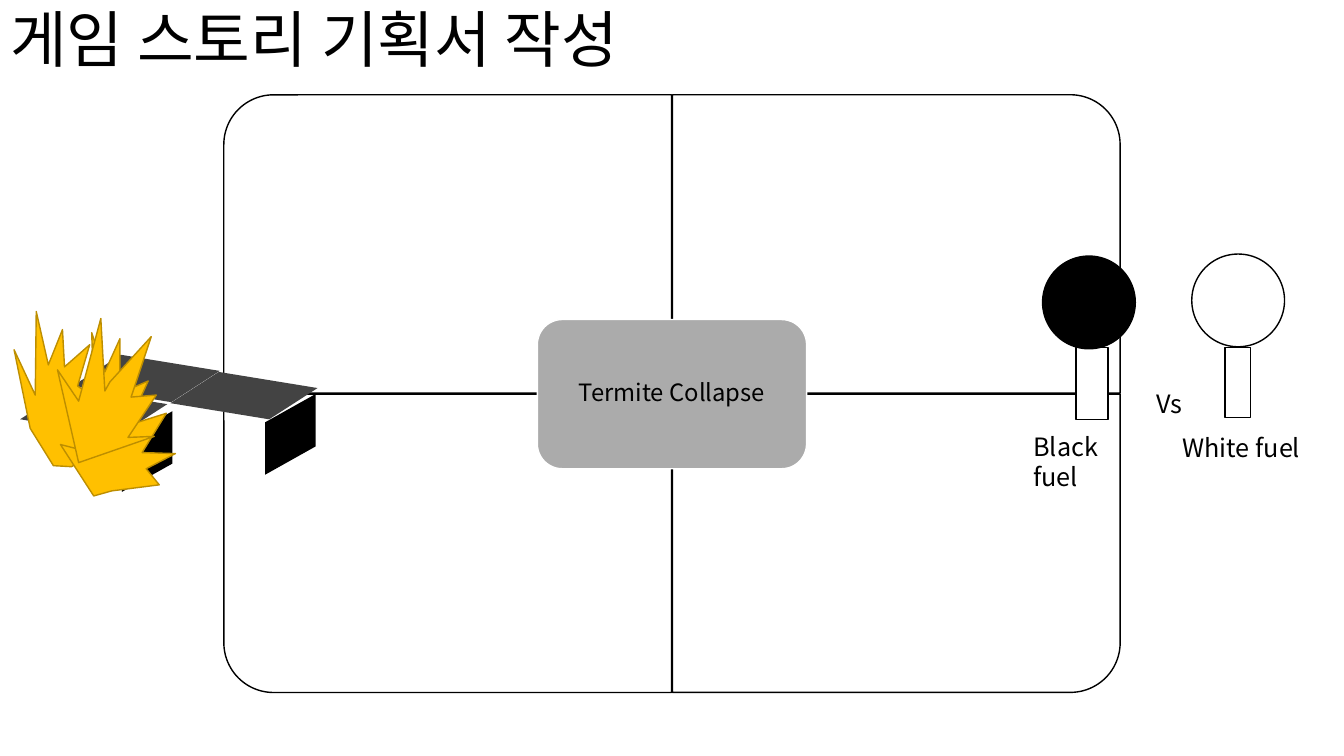
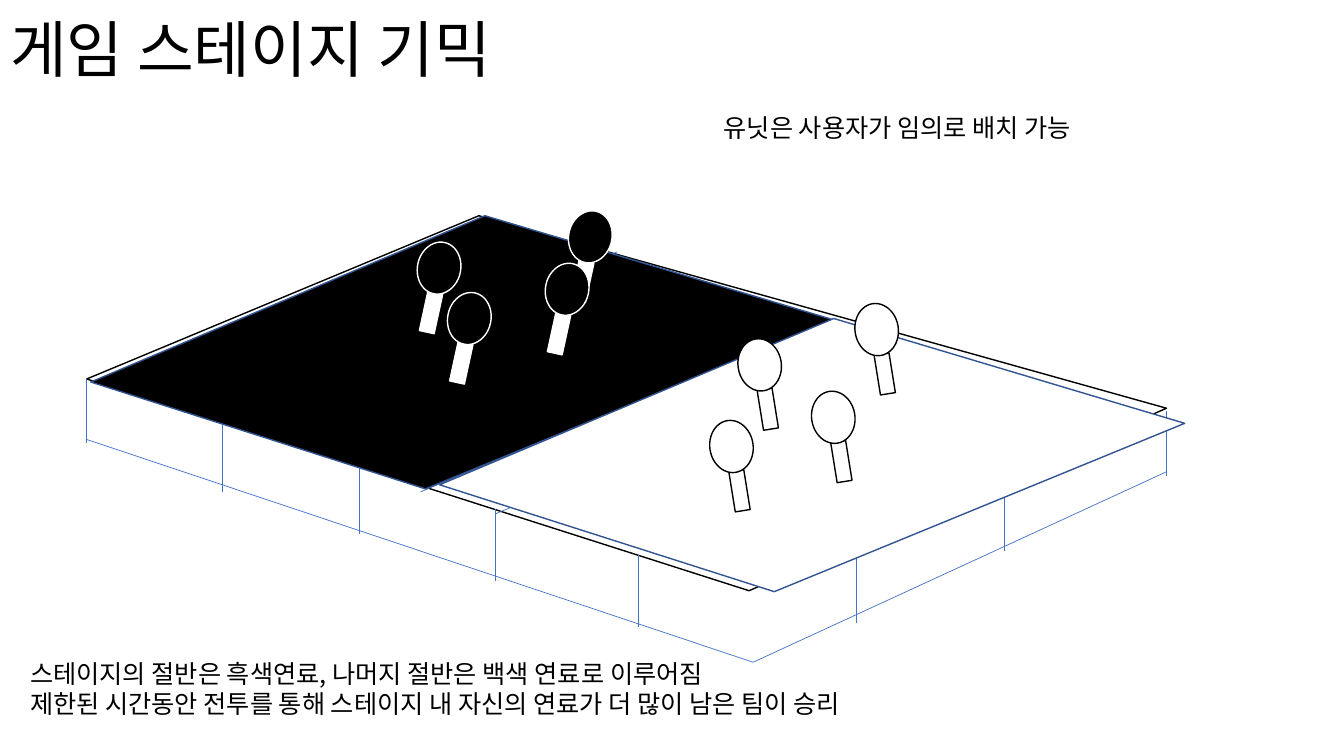
from lxml import etree
from pptx import Presentation
from pptx.dml.color import RGBColor
from pptx.enum.shapes import MSO_CONNECTOR, MSO_SHAPE
from pptx.enum.text import MSO_ANCHOR, PP_ALIGN
from pptx.oxml.ns import qn
from pptx.util import Inches, Pt

RECTANGLE = MSO_SHAPE.RECTANGLE
ROUNDED = MSO_SHAPE.ROUNDED_RECTANGLE
ONE_ROUND = MSO_SHAPE.ROUND_1_RECTANGLE
OVAL = MSO_SHAPE.OVAL
STRAIGHT = MSO_CONNECTOR.STRAIGHT
LEFT, CENTER = PP_ALIGN.LEFT, PP_ALIGN.CENTER
TOP, MIDDLE = MSO_ANCHOR.TOP, MSO_ANCHOR.MIDDLE

BLACK = RGBColor(0x00, 0x00, 0x00)
WHITE = RGBColor(0xFF, 0xFF, 0xFF)
GRAY = RGBColor(0xAB, 0xAB, 0xAB)
CHARCOAL = RGBColor(0x43, 0x43, 0x43)
GOLD = RGBColor(0xFF, 0xC0, 0x00)
BROWN = RGBColor(0xBD, 0x8E, 0x00)
BLUE = RGBColor(0x44, 0x72, 0xC4)
NAVY = RGBColor(0x32, 0x54, 0x91)
FONT = "Noto Sans CJK KR"

STORY_TITLE = "게임 스토리 기획서 작성"
STORY_TITLE_AREA = (0, -0.3, 11.5, 1.45)
CENTER_LABEL = "Termite Collapse"
CENTER_AREA = (5.33, 3.17, 2.67, 1.48)
QUARTER_SIZE = (4.44, 2.96)
QUARTERS = [(2.22, 0.94, 270), (6.67, 0.94, 0), (2.22, 3.91, 180), (6.67, 3.91, 90)]
TILE = [(0, 0), (0.98, 0.16), (0.5, 0.47), (-0.48, 0.31)]
TILE_ORIGINS = [(0.68, 3.85), (1.2, 3.52), (2.17, 3.69)]
LEG = [(0, 0), (0, 0.52), (-0.5, 0.8), (-0.5, 0.28)]
LEG_ORIGINS = [(1.71, 4.08), (3.13, 3.91)]
FLAMES = [
    [(0.53, 4.62), (0.3, 4.25), (0.14, 3.47), (0.35, 3.92), (0.36, 3.09),
     (0.48, 3.62), (0.62, 3.27), (0.64, 3.64), (0.89, 3.42), (0.77, 3.83),
     (0.9, 3.92), (0.77, 4.52), (0.98, 4.47), (0.71, 4.63)],
    [(0.93, 4.92), (0.6, 4.41), (0.95, 4.5), (0.91, 3.3), (1.04, 3.69),
     (1.19, 3.36), (1.19, 3.9), (1.47, 3.78), (1.27, 4.22), (1.65, 4.1),
     (1.41, 4.49), (1.74, 4.5), (1.45, 4.65), (1.58, 4.81), (1.11, 4.87)],
    [(0.78, 4.59), (0.57, 3.67), (0.78, 3.98), (1, 3.16), (1.04, 3.88),
     (1.09, 3.79), (1.5, 3.34), (1.3, 3.94), (1.55, 3.92), (1.27, 4.34),
     (1.53, 4.33)],
]
FUELS = [
    ((10.67, 3.45, 0.32, 0.71), (10.34, 2.54, 0.92, 0.92), BLACK),
    ((12.15, 3.45, 0.25, 0.69), (11.82, 2.52, 0.92, 0.92), None),
]
FUEL_LABELS = [
    ("Black fuel", (10.15, 4.23, 1.25, 0.7)),
    ("White fuel", (11.63, 4.24, 1.45, 0.4)),
    ("Vs", (11.37, 3.8, 0.5, 0.4)),
]

STAGE_TITLE = "게임 스테이지 기믹"
STAGE_TITLE_AREA = (0, 0, 7.08, 1.04)
RULES = ("스테이지의 절반은 흑색연료, 나머지 절반은 백색 연료로 이루어짐\n"
         "제한된 시간동안 전투를 통해 스테이지 내 자신의 연료가 더 많이 남은 팀이 승리")
RULES_AREA = (0.2, 6.48, 9.35, 0.71)
PLACEMENT_NOTE = "유닛은 사용자가 임의로 배치 가능"
NOTE_AREA = (7.08, 1.07, 4.09, 0.4)
FLOOR = [(0.86, 3.76), (7.43, 5.86), (11.57, 4.05), (4.75, 2.14)]
GRID = [
    ((3.91, -1.67), [(2.21, 4.17), (3.56, 4.63), (4.91, 5.1), (6.33, 5.41)]),
    ((6.17, 1.97), [(2.36, 3.28), (3.78, 2.69)]),
    ((0, 0.64), [(0.86, 3.76), (11.57, 4.08)]),
    ((6.61, 2.21), [(0.86, 4.36)]),
    ((-4.1, 1.89), [(11.57, 4.68)]),
    ((0, 0.71), [(2.21, 4.17), (3.56, 4.59), (4.91, 5.05), (6.33, 5.51),
                 (8.49, 5.47), (9.96, 4.76)]),
    ((4.11, -1.72), [(4.17, 4.88)]),
]
HALF = [(0, 1.65), (3.32, 2.71), (7.39, 1.04), (3.91, 0)]
HALVES = [((0.9, 2.14), BLACK), ((4.36, 3.16), WHITE)]
HEAD_SIZE = (0.43, 0.52)
STICK_SIZE = (0.15, 0.4)
TEAMS = [
    (BLACK, WHITE, 12.3, (0.06, 0.5),
     [(5.64, 2.09), (5.41, 2.61), (4.14, 2.4), (4.44, 2.9)]),
    (WHITE, BLACK, 350.9, (0.22, 0.5),
     [(8.48, 3.01), (8.05, 3.88), (7.32, 3.36), (7.04, 4.17)]),
]


def paint(shape, fill, line):
    shape.shadow.inherit = False
    if fill is None:
        shape.fill.background()
    else:
        shape.fill.solid()
        shape.fill.fore_color.rgb = fill
    if line is None:
        shape.line.fill.background()
    else:
        shape.line.color.rgb = line
        shape.line.width = Pt(1)


def add_block(page, kind, area, fill, line=BLACK, rotation=0):
    shape = page.shapes.add_shape(kind, *map(Inches, area))
    shape.rotation = rotation
    paint(shape, fill, line)
    return shape


def add_outline(page, points, fill, line=None, origin=(0, 0)):
    corners = [(Inches(origin[0] + x), Inches(origin[1] + y)) for x, y in points]
    builder = page.shapes.build_freeform(*corners[0], scale=1.0)
    builder.add_line_segments(corners[1:], close=True)
    paint(builder.convert_to_shape(), fill, line)


def add_line(page, start, change):
    end = (start[0] + change[0], start[1] + change[1])
    line = page.shapes.add_connector(STRAIGHT, *map(Inches, start + end))
    line.line.color.rgb = BLUE
    line.line.width = Pt(0.5)
    etree.SubElement(line._element.spPr, qn("a:effectLst"))


def write(shape, text, size=18, align=LEFT, anchor=TOP, spacing=1.0):
    frame = shape.text_frame
    frame.word_wrap = True
    frame.vertical_anchor = anchor
    frame.text = text
    for para in frame.paragraphs:
        para.alignment = align
        para.line_spacing = spacing
        for span in para.runs:
            span.font.size = Pt(size)
            span.font.name = FONT
            span.font.color.rgb = BLACK
            east_asian = etree.SubElement(span.font._element, qn("a:ea"))
            east_asian.set("typeface", FONT)


def add_label(page, text, area):
    write(page.shapes.add_textbox(*map(Inches, area)), text)


def add_page(deck, title, area):
    page = deck.slides.add_slide(deck.slide_layouts[5])
    box = page.shapes.title
    box.left, box.top, box.width, box.height = map(Inches, area)
    write(box, title, size=44, anchor=MIDDLE, spacing=0.9)
    return page


def build_story(deck):
    page = add_page(deck, STORY_TITLE, STORY_TITLE_AREA)
    width, height = QUARTER_SIZE
    for left, top, rotation in QUARTERS:
        shift = (width - height) / 2
        if rotation % 180:
            area = (left + shift, top - shift, height, width)
        else:
            area = (left, top, width, height)
        add_block(page, ONE_ROUND, area, WHITE, rotation=rotation)
    hub = add_block(page, ROUNDED, CENTER_AREA, GRAY, WHITE)
    write(hub, CENTER_LABEL, size=17, align=CENTER, anchor=MIDDLE, spacing=0.9)
    for origin in LEG_ORIGINS:
        add_outline(page, LEG, BLACK, origin=origin)
    for origin in TILE_ORIGINS:
        add_outline(page, TILE, CHARCOAL, origin=origin)
    for flame in FLAMES:
        add_outline(page, flame, GOLD, BROWN)
    for stick, head, color in FUELS:
        add_block(page, RECTANGLE, stick, WHITE)
        add_block(page, OVAL, head, color)
    for text, area in FUEL_LABELS:
        add_label(page, text, area)


def build_stage(deck):
    page = add_page(deck, STAGE_TITLE, STAGE_TITLE_AREA)
    add_outline(page, FLOOR, None, BLACK)
    for change, starts in GRID:
        for start in starts:
            add_line(page, start, change)
    for origin, color in HALVES:
        add_outline(page, HALF, color, NAVY, origin)
    add_label(page, RULES, RULES_AREA)
    for color, line, rotation, (right, down), heads in TEAMS:
        for left, top in heads:
            stick = (left + right, top + down) + STICK_SIZE
            add_block(page, RECTANGLE, stick, WHITE, line, rotation)
            add_block(page, OVAL, (left, top) + HEAD_SIZE, color, line, rotation)
    add_label(page, PLACEMENT_NOTE, NOTE_AREA)


deck = Presentation()
deck.slide_width = Inches(13.33)
deck.slide_height = Inches(7.5)
build_story(deck)
build_stage(deck)
deck.save("out.pptx")
